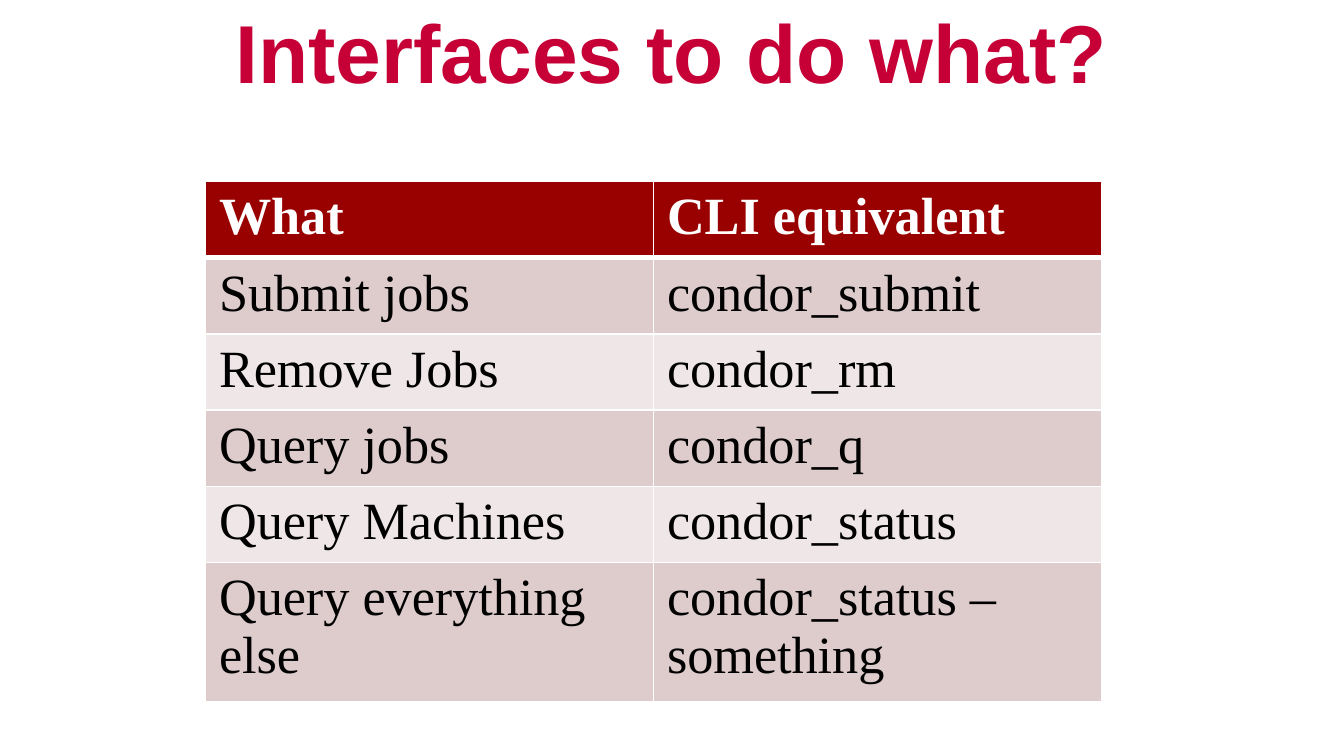
import pptx
import pptx.util
import pptx.dml.color
import pptx.enum.text
import pptx.oxml
import pptx.oxml.ns

TITLE = "Interfaces to do what?"
ROWS = [
    ("What", "CLI equivalent"),
    ("Submit jobs", "condor_submit"),
    ("Remove Jobs", "condor_rm"),
    ("Query jobs", "condor_q"),
    ("Query Machines", "condor_status"),
    ("Query everything else", "condor_status –something"),
]
ROW_HEIGHTS = [0.53] * 5 + [0.96]
HEADER_FILL = "990000"
BAND_FILLS = ("EFE7E7", "DECCCC")
WIDTH = 10
HEIGHT = WIDTH * 9 / 16
TABLE_LEFT, TABLE_TOP = 1.53, 1.35
COLUMN_WIDTH = WIDTH / 3


def color(value):
    return pptx.dml.color.RGBColor.from_string(value)


def inches(*values):
    return [pptx.util.Inches(value) for value in values]


def write(frame, text, font, size, text_color, bold):
    run = frame.paragraphs[0].add_run()
    run.text = text
    run.font.name = font
    run.font.size = pptx.util.Pt(size)
    run.font.bold = bold
    run.font.color.rgb = color(text_color)


def add_borders(cell, top, bottom):
    properties = cell._tc.get_or_add_tcPr()
    sides = (("lnL", 1), ("lnR", 1), ("lnT", top), ("lnB", bottom))
    for position, (side, points) in enumerate(sides):
        border = pptx.oxml.parse_xml(
            f'<a:{side} {pptx.oxml.ns.nsdecls("a")} w="{pptx.util.Pt(points)}">'
            '<a:solidFill><a:srgbClr val="FFFFFF"/></a:solidFill>'
            f'</a:{side}>'
        )
        properties.insert(position, border)


def add_title(slide):
    frame = slide.shapes.add_textbox(*inches(0, 0, WIDTH, 0.75)).text_frame
    frame.word_wrap = True
    frame.vertical_anchor = pptx.enum.text.MSO_ANCHOR.MIDDLE
    frame.paragraphs[0].alignment = pptx.enum.text.PP_ALIGN.CENTER
    write(frame, TITLE, "Arial", 44, "C60036", True)


def add_command_table(slide):
    column_count = len(ROWS[0])
    bounds = inches(TABLE_LEFT, TABLE_TOP,
                    column_count * COLUMN_WIDTH, sum(ROW_HEIGHTS))
    table = slide.shapes.add_table(len(ROWS), column_count, *bounds).table
    for row_index, (row, height) in enumerate(zip(ROWS, ROW_HEIGHTS)):
        table.rows[row_index].height = pptx.util.Inches(height)
        header = row_index == 0
        fill = HEADER_FILL if header else BAND_FILLS[row_index % 2]
        for column_index, text in enumerate(row):
            cell = table.cell(row_index, column_index)
            cell.fill.solid()
            cell.fill.fore_color.rgb = color(fill)
            add_borders(cell, 3 if row_index == 1 else 1, 3 if header else 1)
            write(cell.text_frame, text, "Times New Roman", 28,
                  "FFFFFF" if header else "000000", header)


def main():
    presentation = pptx.Presentation()
    presentation.slide_width, presentation.slide_height = inches(WIDTH, HEIGHT)
    slide = presentation.slides.add_slide(presentation.slide_layouts[6])
    add_title(slide)
    add_command_table(slide)
    presentation.save("out.pptx")


if __name__ == "__main__":
    main()
